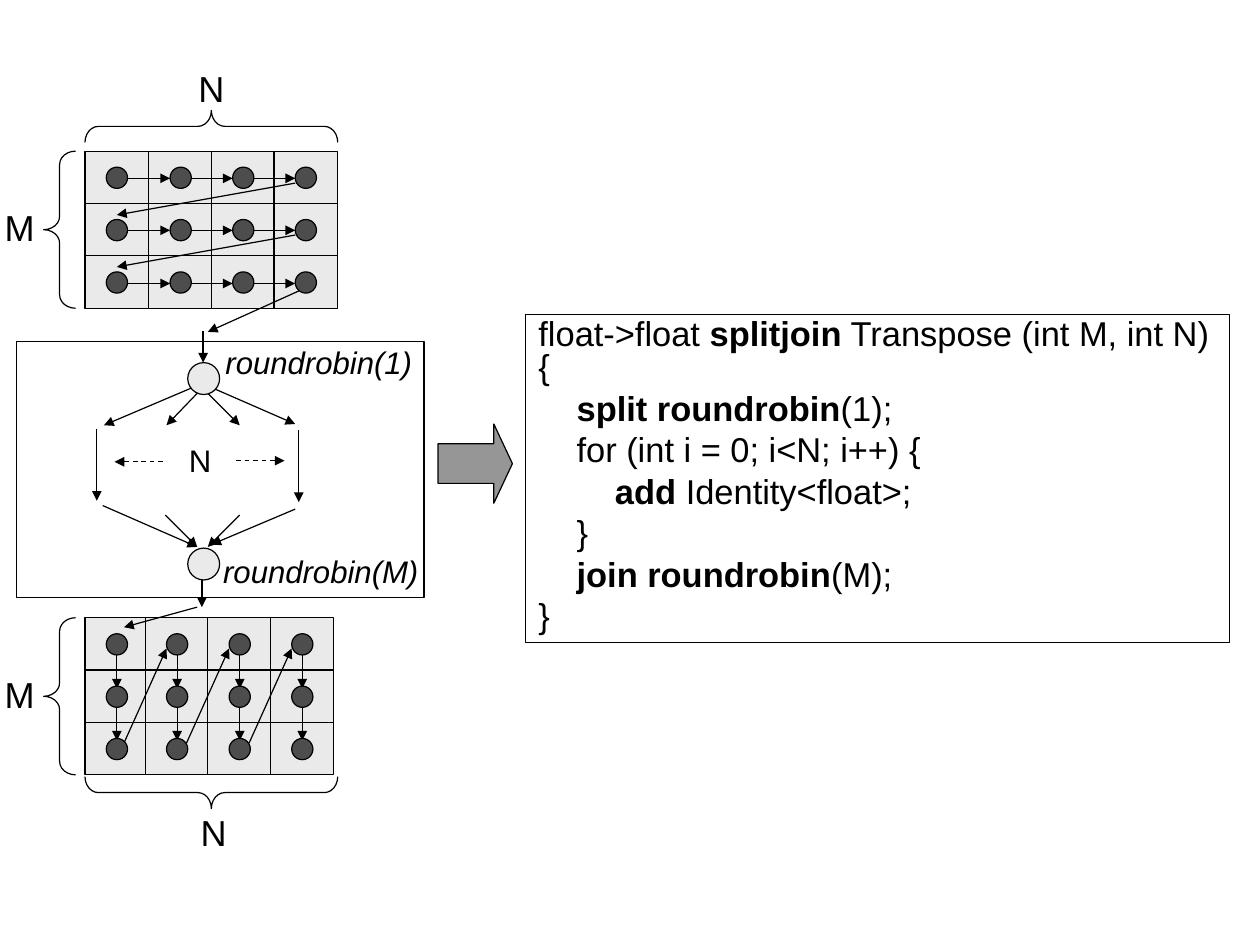
from pptx import Presentation
from pptx.dml.color import RGBColor
from pptx.enum import dml, shapes, text
from pptx.oxml import parse_xml
from pptx.oxml.ns import nsdecls
from pptx.util import Emu, Pt

PX = 9144
COLORS = {"ink": "000000", "cell": "EAEAEA", "dot": "4D4D4D", "arrow": "969696"}
KIND = shapes.MSO_SHAPE
FRAME = {
    "margin_left": Emu(11 * PX),
    "margin_right": Emu(11 * PX),
    "margin_top": Emu(5 * PX),
    "margin_bottom": Emu(5 * PX),
    "vertical_anchor": text.MSO_ANCHOR.TOP,
}
CODE = [
    [("float->float", False), (" splitjoin", True), (" Transpose (int M, int N) {", False)],
    [("    ", False), ("split roundrobin", True), ("(1);", False)],
    [("    for (int i = 0; i<N; i++) {", False)],
    [("        ", False), ("add", True), (" Identity<float>;", False)],
    [("    }", False)],
    [("    ", False), ("join roundrobin", True), ("(M);", False)],
    [("}", False)],
]


def px(*nums):
    return [Emu(round(n * PX)) for n in nums]


def tint(name):
    return RGBColor.from_string(COLORS[name])


def style(item, values):
    for key, value in values.items():
        setattr(item, key, value)


def write(par, words, size, **extra):
    run = par.add_run()
    run.text = words
    style(run.font, {"name": "Arial", "size": Pt(size), **extra})
    run.font.color.rgb = tint("ink")


def form(page, kind, x, y, w, h, fill=None):
    item = page.shapes.add_shape(kind, *px(x, y, w, h))
    item.shadow.inherit = False
    if fill:
        item.fill.solid()
        item.fill.fore_color.rgb = tint(fill)
    else:
        item.fill.background()
    item.line.color.rgb = tint("ink")
    item.line.width = Pt(0.75)
    return item


def label(page, words, x, y, w, h, size=22, **extra):
    frame = page.shapes.add_textbox(*px(x, y, w, h)).text_frame
    style(frame, {**FRAME, "word_wrap": False, "auto_size": text.MSO_AUTO_SIZE.SHAPE_TO_FIT_TEXT})
    write(frame.paragraphs[0], words, size, **extra)


def link(page, x, y, ends, dash=None):
    x1, y1, x2, y2 = ends
    line = page.shapes.add_connector(
        shapes.MSO_CONNECTOR.STRAIGHT, *px(x + x1, y + y1, x + x2, y + y2))
    line.line.color.rgb = tint("ink")
    style(line.line, {"width": Pt(0.75), "dash_style": dash})
    ln = line.line._get_or_add_ln()
    ln.append(parse_xml(f'<a:tailEnd type="triangle" {nsdecls("a")}/>'))
    ln.getparent().append(parse_xml(f'<a:effectLst {nsdecls("a")}/>'))


def brace(page, x, y, w, h, turn=0):
    item = form(page, KIND.LEFT_BRACE, x, y, w, h)
    item.adjustments[0] = 0.42
    item.rotation = turn


def grid(page, x, y, w, h, slip, links):
    cols = [x + round(w * i / 4) - (slip if i else 0) for i in range(4)]
    rows = [y + h * i / 3 for i in range(3)]
    spots = [(left, top) for top in rows for left in cols]
    for left, top in spots:
        form(page, KIND.RECTANGLE, left, top, w / 4, h / 3, "cell")
    for ends in links:
        link(page, x, y, ends)
    for left, top in spots:
        form(page, KIND.OVAL, left + 18, top + 13.5, 18, 18, "dot")
    brace(page, x - 35, y, 27, h)
    label(page, "M", x - 79, y + 41, 47, 47)


def source(page, x, y, w, h):
    rows = [round(23 + h * i / 3) for i in range(3)]
    links = [(36 + 53 * i, row, 72 + 53 * i, row) for row in rows for i in range(3)]
    links += [(178, row + 4, 27, row + 31) for row in rows[:2]]
    links.append((184, 117, 104, 153))
    grid(page, x, y, w, h, 0, links)
    brace(page, x + w / 2 - 13.5, y - 128, 27, w, 90)
    label(page, "N", x + 85, y - 77, 43, 47)


def result(page, x, y, w, h):
    cols = [27, 78, 131, 184]
    links = [(col, top, col, top + 35) for col in cols for top in (25, 69)]
    links += [(col - 45, 106, col - 9, 26) for col in cols[1:]]
    links.append((95, -9, 33, 8))
    grid(page, x, y, w, h, 3, links)
    brace(page, x + w / 2 - 13.5, y + 41, 27, w, 270)
    label(page, "N", x + 87, y + 158, 43, 47)


def split(page, x, y, w, h):
    form(page, KIND.RECTANGLE, x, y, w, h)
    for ends in (
        (154, 37, 74, 71), (165, 39, 236, 70), (153, 44, 127, 71), (162, 44, 189, 71),
        (73, 139, 153, 174), (236, 142, 165, 172), (126, 147, 153, 174), (189, 147, 162, 174),
        (68, 74, 68, 135), (239, 75, 239, 136), (157, 198, 157, 225), (158, -9, 158, 18),
    ):
        link(page, x, y, ends)
    for ends in ((124, 102, 83, 102), (186, 101, 227, 101)):
        link(page, x, y, ends, dml.MSO_LINE.DASH)
    for top in (18, 175):
        form(page, KIND.OVAL, x + 145, y + top, 27, 27, "cell")
    label(page, "N", x + 135, y + 80, 40, 42, 19)
    label(page, "roundrobin(M)", x + 164, y + 174, 192, 42, 19, italic=True)
    label(page, "roundrobin(1)", x + 166, y - 3, 184, 42, 19, italic=True)


def code(page, x, y, w, h):
    frame = form(page, KIND.RECTANGLE, x, y, w, h).text_frame
    style(frame, {**FRAME, "word_wrap": True})
    for i, parts in enumerate(CODE):
        par = frame.add_paragraph() if i else frame.paragraphs[0]
        style(par, {"alignment": text.PP_ALIGN.LEFT, "line_spacing": 0.8,
                    "space_before": Pt(5.2 if i else 0)})
        for words, bold in parts:
            write(par, words, 21, bold=bold)


def main():
    deck = Presentation()
    deck.slide_width, deck.slide_height = px(1067, 800)
    page = deck.slides.add_slide(deck.slide_layouts[6])
    source(page, 72, 128, 214, 133)
    result(page, 72, 523, 214, 133)
    arrow = form(page, KIND.RIGHT_ARROW, 371, 359, 63, 67, "arrow")
    arrow.adjustments[1] = 0.25
    code(page, 445, 266, 596, 278)
    split(page, 14, 289, 345, 217)
    deck.save("out.pptx")


if __name__ == "__main__":
    main()
